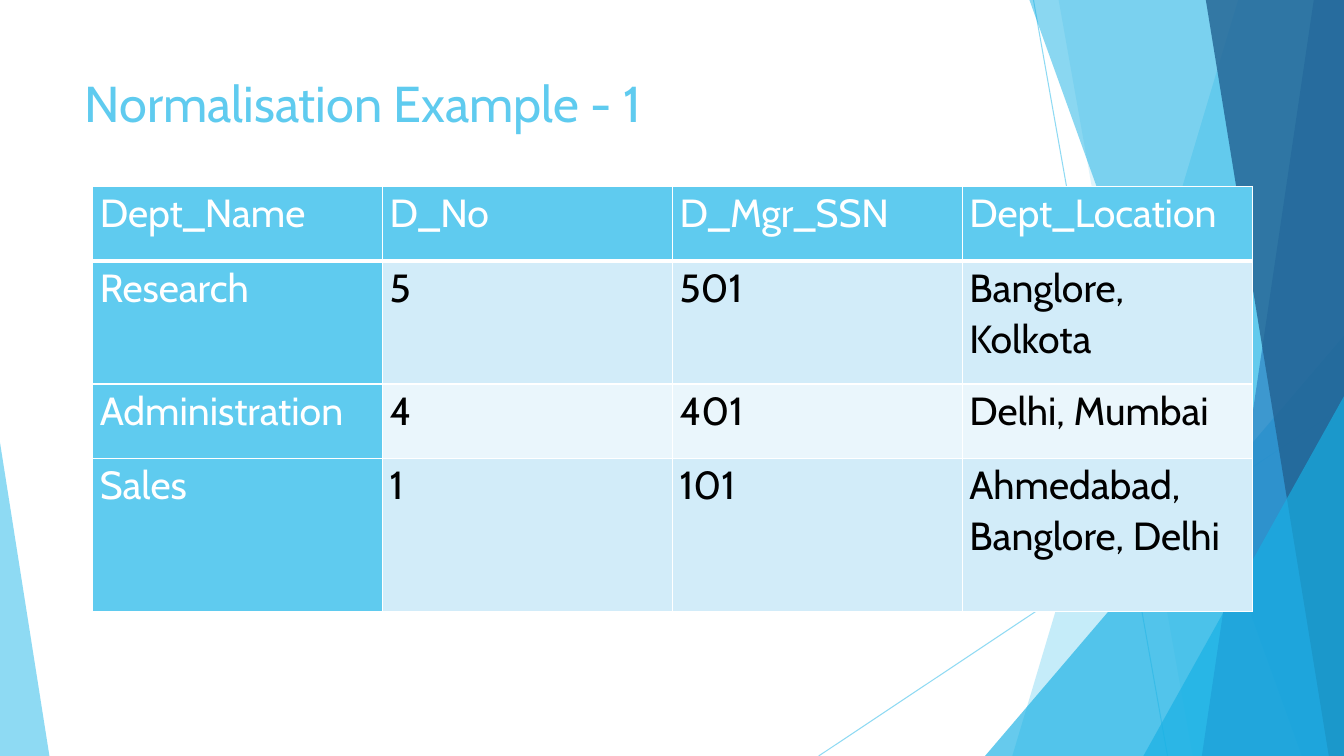
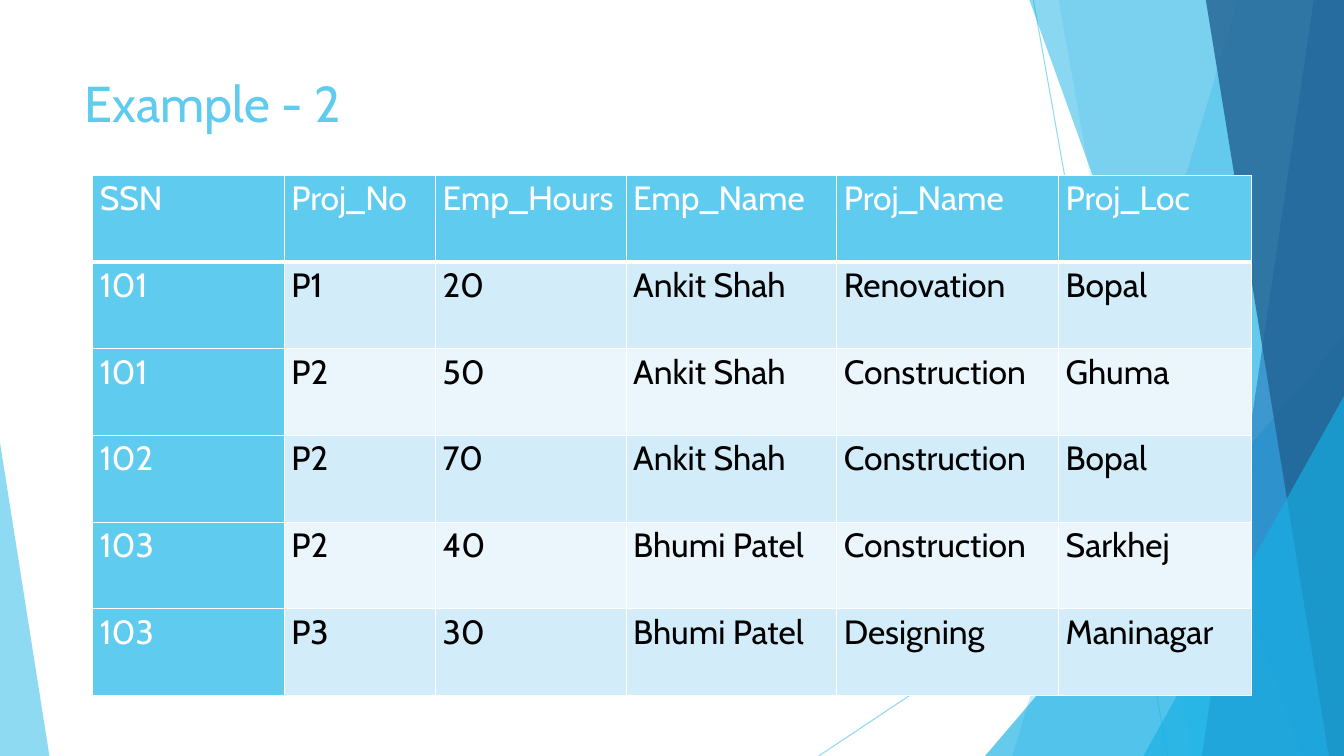
from lxml.etree import SubElement
from pptx import Presentation
from pptx.dml.color import RGBColor as RGB
from pptx.enum.shapes import MSO_CONNECTOR as CONN, MSO_SHAPE as SHAPE
from pptx.enum.text import MSO_ANCHOR as ANCHOR, PP_ALIGN as ALIGN
from pptx.oxml.ns import qn
from pptx.util import Inches, Pt

W, H = 13.33, 7.5
FONT = "Cabin"
COLORS = {
    "sky": "5FCBEF",
    "azure": "17B0E4",
    "blue": "2E83C3",
    "navy": "226292",
    "band": "D2ECF9",
    "pale": "EAF6FC",
    "white": "FFFFFF",
    "black": "000000",
}


def rgb(name):
    return RGB.from_string(COLORS[name])


def set_text(tf, text, size, color, **fmt):
    p = tf.paragraphs[0]
    for key, value in fmt.items():
        setattr(p, key, value)
    r = p.add_run()
    r.text = text
    r.font.name = FONT
    r.font.size = Pt(size)
    r.font.bold = False
    r.font.color.rgb = rgb(color)


def set_alpha(fill_parent, percent):
    clr = next(fill_parent.iter(qn("a:srgbClr")))
    SubElement(clr, qn("a:alpha"), val=str(percent * 1000))


def set_border(cell, side, width):
    ln = SubElement(cell._tc.get_or_add_tcPr(), qn(f"a:ln{side}"), w=str(Pt(width)))
    fill = SubElement(ln, qn("a:solidFill"))
    SubElement(fill, qn("a:srgbClr"), val=COLORS["white"])


class Deck:
    def __init__(self):
        self.prs = Presentation()
        self.prs.slide_width = Inches(W)
        self.prs.slide_height = Inches(H)
        self.s = None

    def slide(self, title):
        self.s = self.prs.slides.add_slide(self.prs.slide_layouts[6])
        self.backdrop()
        self.title(title)

    def backdrop(self):
        self.line(10.25, 0, 11.58, H)
        self.line(W, 4.03, 8.12, H)
        self.band(12.28, 10.04, "sky", 36)
        self.band(10.5, 11.83, "sky", 20)
        self.triangle(9.77, 3.33, 3.56, 1, "azure", 66)
        self.band(10.21, 12.91, "azure", 50)
        self.band(13.03, 11.92, "blue", 70)
        self.band(11.96, 13.18, "navy", 80)
        self.triangle(11.34, 3.93, 1.99, 1, "azure", 66)
        self.triangle(0, 4.39, 0.49, 0, "sky", 70)

    def line(self, x1, y1, x2, y2):
        ends = [Inches(v) for v in (x1, y1, x2, y2)]
        cn = self.s.shapes.add_connector(CONN.STRAIGHT, *ends)
        cn.line.color.rgb = rgb("sky")
        cn.line.width = Pt(0.75)
        sp_pr = cn._element.spPr
        set_alpha(sp_pr, 70)
        SubElement(sp_pr, qn("a:effectLst"))

    def paint(self, sp, color, alpha):
        sp.shadow.inherit = False
        sp.fill.solid()
        sp.fill.fore_color.rgb = rgb(color)
        set_alpha(sp._element.spPr, alpha)
        sp.line.fill.background()

    def band(self, top_x, bottom_x, color, alpha):
        corners = [(top_x, 0), (W, 0), (W, H), (bottom_x, H)]
        start, *rest = [(Inches(x), Inches(y)) for x, y in corners]
        builder = self.s.shapes.build_freeform(*start)
        builder.add_line_segments(rest, close=True)
        self.paint(builder.convert_to_shape(), color, alpha)

    def triangle(self, x, y, width, apex, color, alpha):
        sp = self.s.shapes.add_shape(
            SHAPE.ISOSCELES_TRIANGLE, Inches(x), Inches(y), Inches(width), Inches(H - y))
        sp.adjustments[0] = apex
        self.paint(sp, color, alpha)

    def title(self, text):
        box = self.s.shapes.add_textbox(Inches(0.74), Inches(0.67), Inches(9.4), Inches(1.44))
        tf = box.text_frame
        tf.word_wrap = True
        tf.vertical_anchor = ANCHOR.TOP
        set_text(tf, text, 36, "sky")

    def table(self, top, widths, heights, size, rows):
        frame = self.s.shapes.add_table(
            len(rows), len(widths), Inches(0.92), Inches(top),
            Inches(sum(widths)), Inches(sum(heights)))
        tbl = frame.table
        tbl.first_col = True
        for column, width in zip(tbl.columns, widths):
            column.width = Inches(width)
        for row, height in zip(tbl.rows, heights):
            row.height = Inches(height)
        for i, values in enumerate(rows):
            for j, value in enumerate(values):
                self.cell(tbl.cell(i, j), value, size, i, j)

    def cell(self, cell, text, size, row, col):
        heading = row == 0 or col == 0
        for side in "LRTB":
            set_border(cell, side, 3 if row == 0 and side == "B" else 1)
        cell.fill.solid()
        cell.fill.fore_color.rgb = rgb("sky" if heading else "band" if row % 2 else "pale")
        cell.margin_left = cell.margin_right = Inches(0.07)
        cell.margin_top = cell.margin_bottom = 0
        set_text(cell.text_frame, text, size, "white" if heading else "black",
                 alignment=ALIGN.JUSTIFY, line_spacing=1.07, space_after=Pt(8))


def main():
    deck = Deck()

    deck.slide("Normalisation Example - 1")
    deck.table(1.85, [11.5 / 4] * 4, [0.74, 1.22, 0.74, 1.52], 28, [
        ["Dept_Name", "D_No", "D_Mgr_SSN", "Dept_Location"],
        ["Research", "5", "501", "Banglore, Kolkota"],
        ["Administration", "4", "401", "Delhi, Mumbai"],
        ["Sales", "1", "101", "Ahmedabad, Banglore, Delhi"],
    ])

    deck.slide("Example - 2")
    deck.table(1.74, [1.9, 1.5, 1.89, 2.09, 2.2, 1.91], [0.86] * 6, 24, [
        ["SSN", "Proj_No", "Emp_Hours", "Emp_Name", "Proj_Name", "Proj_Loc"],
        ["101", "P1", "20", "Ankit Shah", "Renovation", "Bopal"],
        ["101", "P2", "50", "Ankit Shah", "Construction", "Ghuma"],
        ["102", "P2", "70", "Ankit Shah", "Construction", "Bopal"],
        ["103", "P2", "40", "Bhumi Patel", "Construction", "Sarkhej"],
        ["103", "P3", "30", "Bhumi Patel", "Designing", "Maninagar"],
    ])

    deck.prs.save("out.pptx")


if __name__ == "__main__":
    main()
